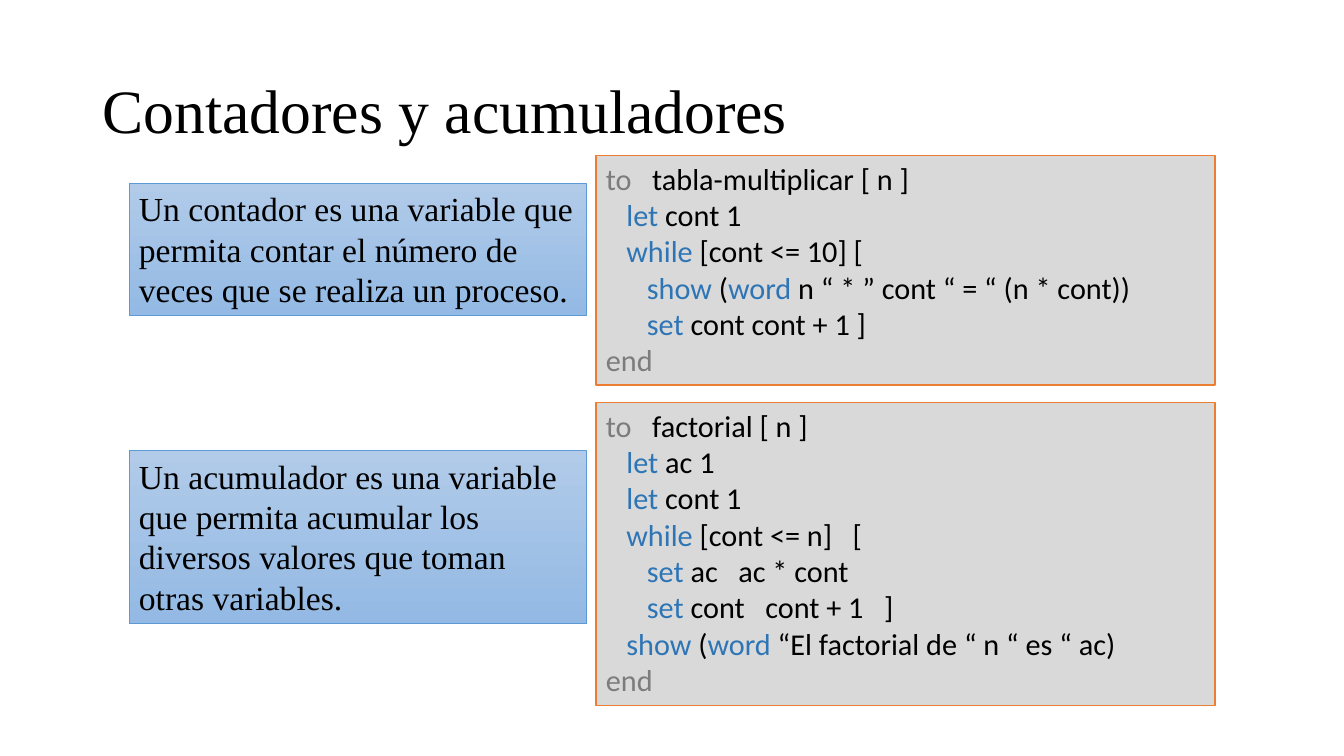
"""Build the slide on counters and accumulators in Logo."""
from dataclasses import dataclass
from itertools import groupby

from pptx import Presentation
from pptx.dml.color import RGBColor
from pptx.enum.shapes import MSO_SHAPE
from pptx.enum.text import MSO_ANCHOR, MSO_AUTO_SIZE, PP_ALIGN
from pptx.util import Inches, Pt

COLORS = {
    "text": "000000",
    "command": "2E75B6",
    "procedure": "7C7C7C",
    "code_fill": "D9D9D9",
    "code_line": "ED7D31",
    "note_top": "B1CBE9",
    "note_bottom": "93B9E4",
    "note_line": "5B9BD5",
}
KEYWORDS = dict.fromkeys(("let", "while", "show", "word", "set"), "command")
KEYWORDS |= dict.fromkeys(("to", "end"), "procedure")
SERIF = "Times New Roman"
SANS = "Calibri"


@dataclass(frozen=True)
class Area:
    """Position and size in percent of the slide."""
    left: float
    top: float
    width: float
    height: float


@dataclass(frozen=True)
class Topic:
    """A definition with the code that illustrates it."""
    definition: str
    definition_top: float
    definition_height: float
    code: tuple[str, ...]
    code_top: float
    code_height: float


TITLE_AREA = Area(6.9, 5.33, 86.27, 19.33)
DEFINITION_LEFT, DEFINITION_WIDTH = 9.6, 34.06
CODE_LEFT, CODE_WIDTH = 44.34, 46.06

TOPICS = (
    Topic(
        "Un contador es una variable que permita contar el número de veces "
        "que se realiza un proceso.",
        24.27, 17.47,
        (
            "to   tabla-multiplicar [ n ]",
            "   let cont 1",
            "   while [cont <= 10] [",
            "      show (word n “ * ” cont “ = “ (n * cont))",
            "      set cont cont + 1 ]",
            "end",
        ),
        20.53, 30.4,
    ),
    Topic(
        "Un acumulador es una variable que permita acumular los diversos "
        "valores que toman otras variables.",
        59.6, 22.93,
        (
            "to   factorial [ n ]",
            "   let ac 1",
            "   let cont 1",
            "   while [cont <= n]   [",
            "      set ac   ac * cont",
            "      set cont   cont + 1   ]",
            "   show (word “El factorial de “ n “ es “ ac)",
            "end",
        ),
        53.2, 40.13,
    ),
)


def rgb(name: str) -> RGBColor:
    """Look up a colour."""
    return RGBColor.from_string(COLORS[name])


def place(shape, area: Area, deck) -> None:
    """Move and size a shape by shares of the slide."""
    shape.left = int(deck.slide_width * area.left / 100)
    shape.top = int(deck.slide_height * area.top / 100)
    shape.width = int(deck.slide_width * area.width / 100)
    shape.height = int(deck.slide_height * area.height / 100)


def add_span(para, text: str, size: float, font: str, color: str) -> None:
    """Append one formatted run."""
    span = para.add_run()
    span.text = text
    span.font.size = Pt(size)
    span.font.name = font
    span.font.color.rgb = rgb(color)


def add_box(page, deck, area: Area, line_color: str, line_width: float):
    """Add an outlined rectangle for left-aligned text."""
    box = page.shapes.add_shape(MSO_SHAPE.RECTANGLE, 0, 0, 0, 0)
    place(box, area, deck)
    box.shadow.inherit = False
    box.line.color.rgb = rgb(line_color)
    box.line.width = Pt(line_width)
    frame = box.text_frame
    frame.word_wrap = True
    frame.auto_size = MSO_AUTO_SIZE.SHAPE_TO_FIT_TEXT
    frame.vertical_anchor = MSO_ANCHOR.TOP
    frame.paragraphs[0].alignment = PP_ALIGN.LEFT
    return box


def add_code(page, deck, area: Area, lines: tuple[str, ...]) -> None:
    """Add a code box with coloured keywords."""
    box = add_box(page, deck, area, "code_line", 1)
    box.fill.solid()
    box.fill.fore_color.rgb = rgb("code_fill")
    frame = box.text_frame
    for index, line in enumerate(lines):
        para = frame.add_paragraph() if index else frame.paragraphs[0]
        para.alignment = PP_ALIGN.LEFT
        tokens = ["".join(letters) for _, letters in groupby(line, str.isalpha)]
        for color, group in groupby(tokens, lambda token: KEYWORDS.get(token, "text")):
            add_span(para, "".join(group), 21.6, SANS, color)


def add_definition(page, deck, area: Area, text: str) -> None:
    """Add a definition box with a vertical gradient."""
    box = add_box(page, deck, area, "note_line", 0.5)
    box.fill.gradient()
    box.fill.gradient_angle = 270
    for stop, color in zip(box.fill.gradient_stops, ("note_top", "note_bottom")):
        stop.color.rgb = rgb(color)
    add_span(box.text_frame.paragraphs[0], text, 24, SERIF, "text")


def add_title(page, deck, text: str) -> None:
    """Fill and format the title placeholder."""
    title = page.shapes.title
    place(title, TITLE_AREA, deck)
    title.text_frame.vertical_anchor = MSO_ANCHOR.MIDDLE
    para = title.text_frame.paragraphs[0]
    para.alignment = PP_ALIGN.LEFT
    para.line_spacing = 0.9
    add_span(para, text, 44, SERIF, "text")


def main() -> None:
    """Build and save the deck."""
    deck = Presentation()
    deck.slide_width, deck.slide_height = Inches(13.33), Inches(7.5)
    page = deck.slides.add_slide(deck.slide_layouts.get_by_name("Title Only"))
    add_title(page, deck, "Contadores y acumuladores")
    for topic in TOPICS:
        code_area = Area(CODE_LEFT, topic.code_top, CODE_WIDTH, topic.code_height)
        add_code(page, deck, code_area, topic.code)
        definition_area = Area(DEFINITION_LEFT, topic.definition_top,
                               DEFINITION_WIDTH, topic.definition_height)
        add_definition(page, deck, definition_area, topic.definition)
    deck.save("out.pptx")


if __name__ == "__main__":
    main()
